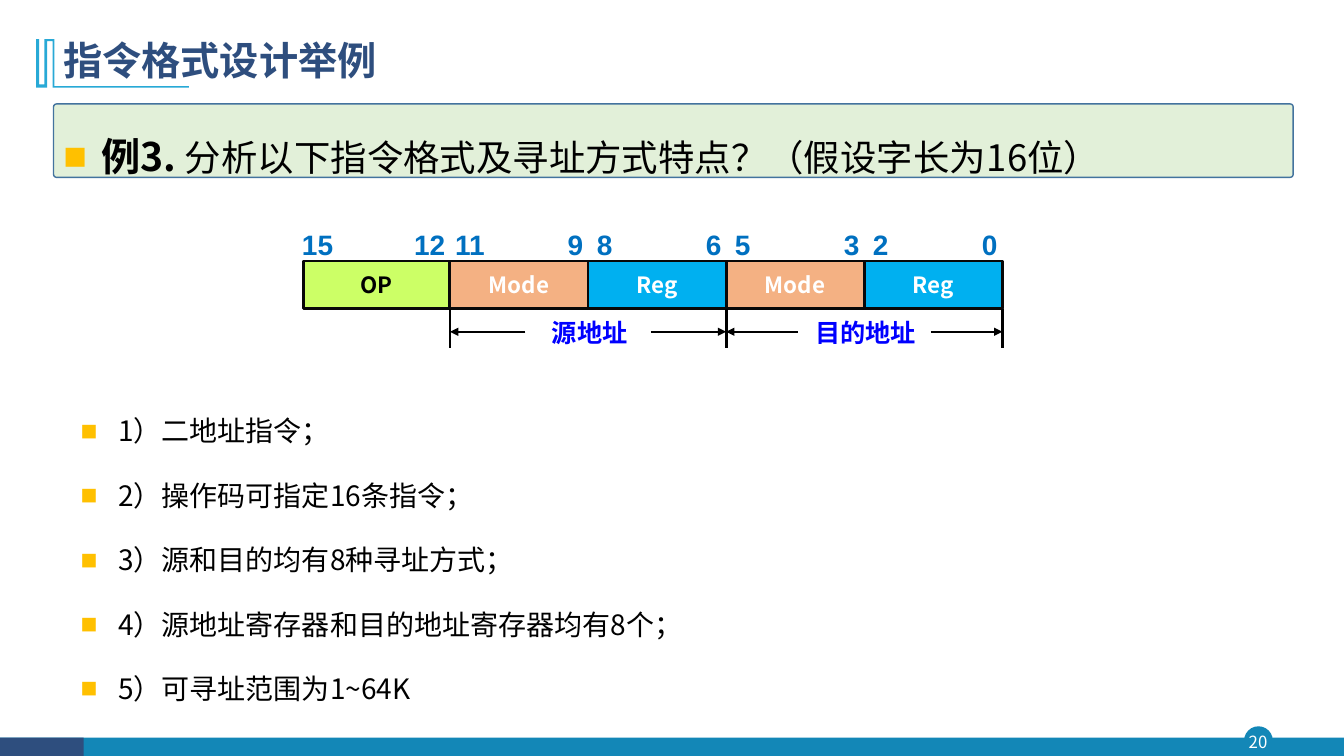
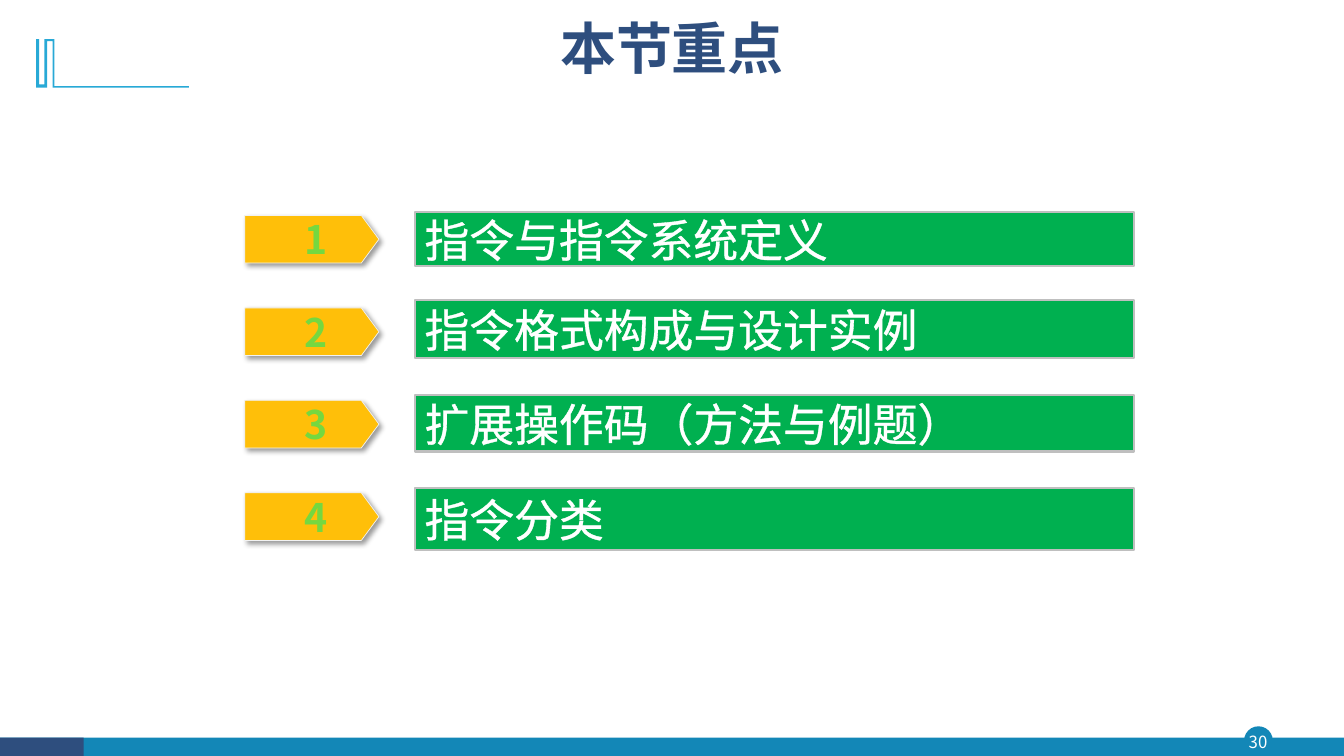
from dataclasses import dataclass, field

from lxml.etree import SubElement
from pptx import Presentation
from pptx.dml.color import RGBColor
from pptx.enum.shapes import MSO_CONNECTOR, MSO_SHAPE
from pptx.enum.text import MSO_ANCHOR, PP_ALIGN
from pptx.oxml.ns import qn
from pptx.util import Cm, Pt

HUES = {
    "navy": "2E4E7E", "teal": "1387B7", "sky": "28A9D6", "white": "FFFFFF",
    "black": "000000", "edge": "080808", "mint": "E2F0D9", "steel": "43739E",
    "gold": "FFC000", "lime": "CCFF66", "peach": "F4B183", "cyan": "00B0F0",
    "blue": "0000FF", "digit": "0070C0", "amber": "FFBF09", "pale": "F2F2F2",
    "leaf": "75D840", "green": "00B050", "grey": "BFBFBF",
}
FONT = "Noto Sans CJK SC"
# Outline of the corner mark, in hundredths of a centimetre
MARK = [(137, 99), (137, 217), (476, 217), (476, 221), (133, 221), (133, 104),
        (119, 104), (119, 221), (91, 221), (91, 99), (99, 99), (99, 213),
        (112, 213), (112, 99)]


@dataclass(frozen=True)
class Box:
    x: float
    y: float
    w: float
    h: float

    def cm(self) -> list:
        return [Cm(v) for v in (self.x, self.y, self.w, self.h)]


@dataclass(frozen=True)
class Style:
    size: float
    hue: str = "black"
    bold: bool = False
    name: str = FONT
    align: PP_ALIGN = PP_ALIGN.LEFT
    frame: dict = field(default_factory=dict)
    para: dict = field(default_factory=dict)
    bullet: bool = False
    stroke: float = 0


@dataclass(frozen=True)
class Cell:
    text: str
    high: str
    low: str
    width: float
    fill: str
    ink: str = "white"
    pad: float = 0.22


@dataclass(frozen=True)
class Span:
    text: str
    first: int
    last: int
    reach: float


@dataclass(frozen=True)
class Point:
    text: str
    top: float
    height: float


MID = {"vertical_anchor": MSO_ANCHOR.MIDDLE}
BARE = {"margin_left": 0, "margin_right": 0, "margin_top": 0, "margin_bottom": 0}
TITLE = {"hue": "navy", "bold": True, "frame": MID, "para": {"line_spacing": 0.9}}
LIST = {"align": PP_ALIGN.JUSTIFY, "para": {"line_spacing": 1.5}, "bullet": True}

CELLS = [
    Cell("OP", "15", "12", 3.69, "lime", "black", -0.04),
    Cell("Mode", "11", "9", 3.48, "peach", pad=0.13),
    Cell("Reg", "8", "6", 3.48, "cyan"),
    Cell("Mode", "5", "3", 3.48, "peach"),
    Cell("Reg", "2", "0", 3.48, "cyan"),
]
SPANS = [Span("源地址", 1, 3, 1.9), Span("目的地址", 3, 5, 1.8)]
NOTES = ["1）二地址指令；", "2）操作码可指定16条指令；", "3）源和目的均有8种寻址方式；",
         "4）源地址寄存器和目的地址寄存器均有8个；", "5）可寻址范围为1~64K"]
POINTS = [
    Point("指令与指令系统定义", 5.35, 1.36),
    Point("指令格式构成与设计实例", 7.56, 1.47),
    Point("扩展操作码（方法与例题）", 9.96, 1.42),
    Point("指令分类", 12.29, 1.57),
]


def rgb(hue: str) -> RGBColor:
    return RGBColor.from_string(HUES[hue])


def apply(target, values: dict) -> None:
    for key, value in values.items():
        setattr(target, key, value)


def add_run(para, text: str, style: Style) -> None:
    run = para.add_run()
    run.text = text
    props = run.font._element
    if style.stroke:
        line = SubElement(props, qn("a:ln"), w=str(Pt(style.stroke)))
        fill = SubElement(line, qn("a:solidFill"))
        SubElement(fill, qn("a:srgbClr"), val=HUES[style.hue])
    apply(run.font, {"size": Pt(style.size), "bold": style.bold, "name": style.name})
    run.font.color.rgb = rgb(style.hue)
    SubElement(props, qn("a:ea"), typeface=style.name)


def add_mark(para) -> None:
    """Give the paragraph a hanging square bullet."""
    props = para._p.get_or_add_pPr()
    props.set("marL", str(Cm(0.95)))
    props.set("indent", str(-Cm(0.95)))
    color = SubElement(props, qn("a:buClr"))
    SubElement(color, qn("a:srgbClr"), val=HUES["gold"])
    SubElement(props, qn("a:buFont"), typeface="Arial")
    SubElement(props, qn("a:buChar"), char="■")


def write(shape, lines: list[str], style: Style, gap: float = 0) -> None:
    frame = shape.text_frame
    apply(frame, {"word_wrap": True, **style.frame})
    for i, line in enumerate(lines):
        para = frame.add_paragraph() if i else frame.paragraphs[0]
        if style.bullet:
            add_mark(para)
        apply(para, {"alignment": style.align, **style.para})
        if i and gap:
            para.space_before = Pt(gap)
        add_run(para, line, style)


def label(slide, box: Box, lines: list[str], style: Style, gap: float = 0):
    shape = slide.shapes.add_textbox(*box.cm())
    write(shape, lines, style, gap)
    return shape


def paint(shape, fill: str, edge: str = "", width: float = 1) -> None:
    shape.shadow.inherit = False
    shape.fill.solid()
    shape.fill.fore_color.rgb = rgb(fill)
    if edge:
        shape.line.color.rgb = rgb(edge)
        shape.line.width = Pt(width)
    else:
        shape.line.fill.background()


def block(slide, kind, box: Box, fill: str, edge: str = "", width: float = 1):
    shape = slide.shapes.add_shape(kind, *box.cm())
    paint(shape, fill, edge, width)
    return shape


def rule(slide, start: tuple, end: tuple, width: float, arrow: bool = False) -> None:
    line = slide.shapes.add_connector(
        MSO_CONNECTOR.STRAIGHT, *(Cm(v) for v in (*start, *end)))
    line.line.color.rgb = rgb("black")
    line.line.width = Pt(width)
    props = line.element.spPr
    if arrow:
        SubElement(props.find(qn("a:ln")), qn("a:tailEnd"), type="triangle")
    SubElement(props, qn("a:effectLst"))


def shade(shape) -> None:
    """Cast a soft shadow to the lower right."""
    effects = shape.element.spPr.find(qn("a:effectLst"))
    cast = SubElement(effects, qn("a:outerShdw"), blurRad=str(Pt(4)),
                      dist=str(Pt(3)), dir="2700000", algn="tl", rotWithShape="0")
    color = SubElement(cast, qn("a:srgbClr"), val=HUES["black"])
    SubElement(color, qn("a:alpha"), val="40000")


def new_slide(deck, page: int, title: str, box: Box, style: Style):
    """Add a slide with the shared footer, corner mark and title."""
    slide = deck.slides.add_slide(deck.slide_layouts[6])
    block(slide, MSO_SHAPE.RECTANGLE, Box(0, 18.59, 33.87, 0.47), "teal")
    block(slide, MSO_SHAPE.RECTANGLE, Box(0, 18.59, 2.11, 0.47), "navy")
    block(slide, MSO_SHAPE.OVAL, Box(31.37, 18.32, 0.69, 0.69), "teal", "teal")
    label(slide, Box(31.3, 18.31, 0.81, 0.79), [str(page)],
          Style(12, "white", align=PP_ALIGN.CENTER, frame=MID | BARE))
    path = slide.shapes.build_freeform(*MARK[0], scale=Cm(0.01))
    path.add_line_segments(MARK[1:], close=True)
    paint(path.convert_to_shape(), "sky")
    label(slide, box, [title], style)
    return slide


def draw_word(slide) -> None:
    """Draw the instruction word with bit numbers and address spans."""
    edges, top, high = [7.65], 6.58, 1.2
    center = PP_ALIGN.CENTER
    for cell in CELLS:
        left = edges[-1]
        edges.append(left + cell.width)
        shape = block(slide, MSO_SHAPE.RECTANGLE,
                      Box(left, top, cell.width, high), cell.fill, "edge", 2)
        write(shape, [cell.text], Style(16, cell.ink, True, align=center, frame=MID))
        half = cell.width / 2
        for text, x, align in (
            (cell.high, left + cell.pad, PP_ALIGN.LEFT),
            (cell.low, left + half - 0.12, PP_ALIGN.RIGHT),
        ):
            label(slide, Box(x, 5.74, half, 0.86), [text],
                  Style(20, "digit", True, "Arial", align, BARE))
    for i in (1, 3, 5):
        rule(slide, (edges[i], top + high), (edges[i], 8.77), 2)
    for span in SPANS:
        left, right = edges[span.first], edges[span.last]
        label(slide, Box(left + 0.04, 7.87, right - left, 1.02), [span.text],
              Style(18, "blue", True, align=center))
        for tip, tail in ((left, left + span.reach), (right, right - span.reach)):
            rule(slide, (tail, 8.36), (tip, 8.36), 1.5, arrow=True)


def format_slide(deck) -> None:
    slide = new_slide(deck, 20, "指令格式设计举例", Box(1.35, 0.71, 29.21, 1.73),
                      Style(28, **TITLE))
    panel = block(slide, MSO_SHAPE.ROUNDED_RECTANGLE,
                  Box(1.35, 2.62, 31.24, 1.85), "mint", "steel")
    panel.adjustments[0] = 0.04
    task = label(slide, Box(1.35, 2.62, 29.21, 2.21), ["例3. "],
                 Style(28, bold=True, **LIST))
    add_run(task.text_frame.paragraphs[0],
            "分析以下指令格式及寻址方式特点？（假设字长为16位）", Style(26))
    label(slide, Box(1.78, 9.88, 30.84, 8.59), NOTES, Style(20, **LIST), gap=10)
    draw_word(slide)


def recap_slide(deck) -> None:
    center = PP_ALIGN.CENTER
    slide = new_slide(deck, 30, "本节重点", Box(7.88, 0.23, 18.11, 2.11),
                      Style(40, align=center, **TITLE))
    inset = MID | BARE | {"margin_left": Cm(0.43)}
    for i, point in enumerate(POINTS):
        tag = block(slide, MSO_SHAPE.PENTAGON,
                    Box(6.17, 5.43 + 2.33 * i, 3.38, 1.2), "amber", "pale", 0.5)
        tag.adjustments[0] = 0.37
        shade(tag)
        write(tag, [str(i + 1)], Style(28, "leaf", True, align=center, frame=inset))
        bar = block(slide, MSO_SHAPE.RECTANGLE,
                    Box(10.45, point.top, 18.12, point.height), "green", "grey", 1.5)
        write(bar, [point.text], Style(32, "white", frame=MID, stroke=0.75))


def main() -> None:
    deck = Presentation()
    apply(deck, {"slide_width": Cm(33.87), "slide_height": Cm(19.05)})
    format_slide(deck)
    recap_slide(deck)
    deck.save("out.pptx")


if __name__ == "__main__":
    main()
